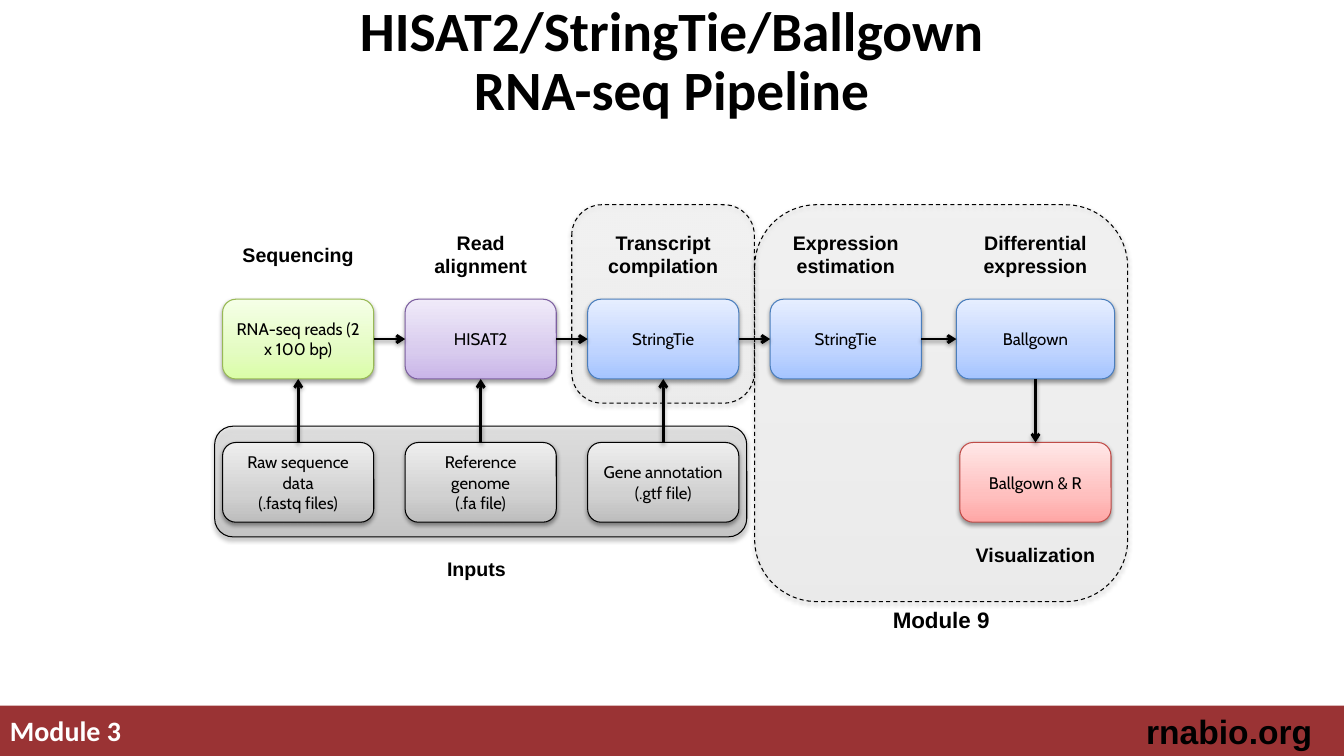
from pptx import Presentation
from pptx.dml.color import RGBColor
from pptx.enum.dml import MSO_LINE
from pptx.enum.shapes import MSO_CONNECTOR, MSO_SHAPE
from pptx.enum.text import MSO_ANCHOR, MSO_AUTO_SIZE, PP_ALIGN
from pptx.oxml import parse_xml
from pptx.oxml.ns import nsdecls, qn
from pptx.util import Cm, Pt

INK = {"black": "000000", "white": "FFFFFF", "bar": "9A3334"}
# Each hue: bottom, middle and top of the gradient, then the outline
HUES = {
    "green": ("DAFDA7", "E4FCC2", "F5FFE7", "98B955"),
    "violet": ("C9B5E8", "D8CBEE", "F0EAF9", "7D60A0"),
    "blue": ("A4C4FF", "BFD4FF", "E6EEFF", "4B7EBC"),
    "red": ("FFA6A5", "FFC0BF", "FFE7E7", "BF4C48"),
    "grey": ("BDBDBD", "D1D1D1", "EEEEEE", "000000"),
}
STAGES = [
    ("Sequencing", "RNA-seq reads (2 x 100 bp)", "green"),
    ("Read alignment", "HISAT2", "violet"),
    ("Transcript compilation", "StringTie", "blue"),
    ("Expression estimation", "StringTie", "blue"),
    ("Differential expression", "Ballgown", "blue"),
]
FILES = [
    ("Raw sequence data", "(.fastq files)"),
    ("Reference genome", "(.fa file)"),
    ("Gene annotation", "(.gtf file)"),
]
# Distances in cm from the corner of the pipeline region
STEP, EDGE = 4.6, 0.2
WIDE, TALL = 3.81, 2.01
TOP, LOW = 2.38, 5.99
LAST, BROAD = 18.69, 3.99
LEFT, ABOVE, RIGHT, BELOW = 1, 0, 3, 2


def rgb(name):
    return RGBColor.from_string(INK[name])


def write(frame, lines, size, font, ink="black", bold=False, align=PP_ALIGN.CENTER):
    frame.word_wrap = True
    frame.vertical_anchor = MSO_ANCHOR.MIDDLE
    for i, line in enumerate(lines):
        para = frame.paragraphs[0] if i == 0 else frame.add_paragraph()
        para.alignment = align
        run = para.add_run()
        run.text = line
        run.font.size = Pt(size)
        run.font.name = font
        run.font.bold = bold
        run.font.color.rgb = rgb(ink)


def label(slide, box, text, size=14, font="Arial", ink="black", align=PP_ALIGN.CENTER):
    area = slide.shapes.add_textbox(*map(Cm, box))
    write(area.text_frame, [text], size, font, ink, True, align)


def shade(props):
    """Give a soft drop shadow to a shape's properties."""
    old = props.find(qn("a:effectLst"))
    if old is not None:
        props.remove(old)
    props.append(parse_xml(
        f'<a:effectLst {nsdecls("a")}><a:outerShdw blurRad="40000" dist="20000" '
        'dir="5400000" rotWithShape="0"><a:srgbClr val="000000">'
        '<a:alpha val="38000"/></a:srgbClr></a:outerShdw></a:effectLst>'))


def panel(slide, box, hue, alpha=100, dash=False):
    """Draw a rounded box with a vertical gradient."""
    shape = slide.shapes.add_shape(MSO_SHAPE.ROUNDED_RECTANGLE, *map(Cm, box))
    *tones, edge = HUES[hue]
    stops = "".join(
        f'<a:gs pos="{at}000"><a:srgbClr val="{tone}">'
        f'<a:alpha val="{alpha}000"/></a:srgbClr></a:gs>'
        for at, tone in zip((0, 35, 100), tones))
    shape.fill.gradient()
    props = shape.element.spPr
    props.replace(props.find(qn("a:gradFill")), parse_xml(
        f'<a:gradFill {nsdecls("a")} rotWithShape="1"><a:gsLst>{stops}</a:gsLst>'
        '<a:lin ang="16200000" scaled="0"/></a:gradFill>'))
    shape.line.color.rgb = RGBColor.from_string(edge)
    shape.line.width = Pt(0.75)
    if dash:
        shape.line.dash_style = MSO_LINE.DASH
    shade(props)
    return shape


def node(slide, box, lines, hue):
    shape = panel(slide, box, hue)
    write(shape.text_frame, lines, 12, "Cabin")
    return shape


def arrow(slide, start, out, end, into):
    """Join one side of a node to a side of another."""
    line = slide.shapes.add_connector(MSO_CONNECTOR.STRAIGHT, 0, 0, 0, 0)
    line.begin_connect(start, out)
    line.end_connect(end, into)
    line.line.color.rgb = rgb("black")
    line.line.width = Pt(2)
    props = line.element.spPr
    props.find(qn("a:ln")).append(
        parse_xml(f'<a:tailEnd {nsdecls("a")} type="arrow"/>'))
    shade(props)


def title(slide, box):
    head = slide.shapes.title
    head.left, head.top, head.width, head.height = map(Cm, box)
    frame = head.text_frame
    frame.auto_size = MSO_AUTO_SIZE.NONE
    frame.vertical_anchor = MSO_ANCHOR.MIDDLE
    para = frame.paragraphs[0]
    para.alignment = PP_ALIGN.CENTER
    para.line_spacing = 0.9
    for i, text in enumerate(("HISAT2/StringTie/Ballgown", "RNA-seq Pipeline")):
        if i:
            para.add_line_break()
        run = para.add_run()
        run.text = text
        run.font.size = Pt(39.6)
        run.font.name = "Calibri"
        run.font.bold = True
        run.font.color.rgb = rgb("black")


def footer(slide, box):
    x, y, w, h = box
    bar = slide.shapes.add_shape(MSO_SHAPE.RECTANGLE, *map(Cm, box))
    bar.fill.solid()
    bar.fill.fore_color.rgb = rgb("bar")
    bar.line.fill.background()
    bar.shadow.inherit = False
    label(slide, (x, y, 18.62, h), "Module 3", 20, "Calibri", "white", PP_ALIGN.LEFT)
    label(slide, (x + w - 7.1, y, 6.55, h), "rnabio.org", 24, align=PP_ALIGN.RIGHT)


def zones(slide, x, y):
    panel(slide, (x + 9, y, 4.6, 5), "grey", 13, True)
    panel(slide, (x + 13.61, y, 9.4, 10), "grey", 13, True)
    label(slide, (x + 13.61, y + 9.98, 9.4, 0.94), "Module 9", 16)
    panel(slide, (x, y + 5.58, 13.41, 2.79), "grey", 51)
    label(slide, (x + 4.6, y + 8.73, 4, 0.86), "Inputs")


def stages(slide, x, y):
    """Draw the row of stages with headings, and the final plot step."""
    nodes = []
    for i, (head, text, hue) in enumerate(STAGES):
        final = i == len(STAGES) - 1
        left, wide = (LAST, BROAD) if final else (EDGE + i * STEP, WIDE)
        mid = x + left + wide / 2
        nodes.append(node(slide, (x + left, y + TOP, wide, TALL), [text], hue))
        label(slide, (mid - 1.8, y + 0.53, 3.6, 1.44), head)
    plot = node(slide, (mid - WIDE / 2, y + LOW, WIDE, TALL), ["Ballgown & R"], "red")
    label(slide, (mid - 2.3, y + 8.38, 4.6, 0.86), "Visualization")
    for start, end in zip(nodes, nodes[1:]):
        arrow(slide, start, RIGHT, end, LEFT)
    arrow(slide, nodes[-1], BELOW, plot, ABOVE)
    return nodes


def inputs(slide, x, y, nodes):
    for i, (lines, goal) in enumerate(zip(FILES, nodes)):
        box = (x + EDGE + i * STEP, y + LOW, WIDE, TALL)
        arrow(slide, node(slide, box, lines, "grey"), ABOVE, goal, BELOW)


def main():
    deck = Presentation()
    deck.slide_width, deck.slide_height = Cm(33.87), Cm(19.05)
    slide = deck.slides.add_slide(deck.slide_layouts[5])
    footer(slide, (0, 17.78, 33.87, 1.27))
    title(slide, (4.65, 0, 24.56, 3.18))
    spot = (5.41, 5.16)
    zones(slide, *spot)
    inputs(slide, *spot, stages(slide, *spot))
    deck.save("out.pptx")


if __name__ == "__main__":
    main()
